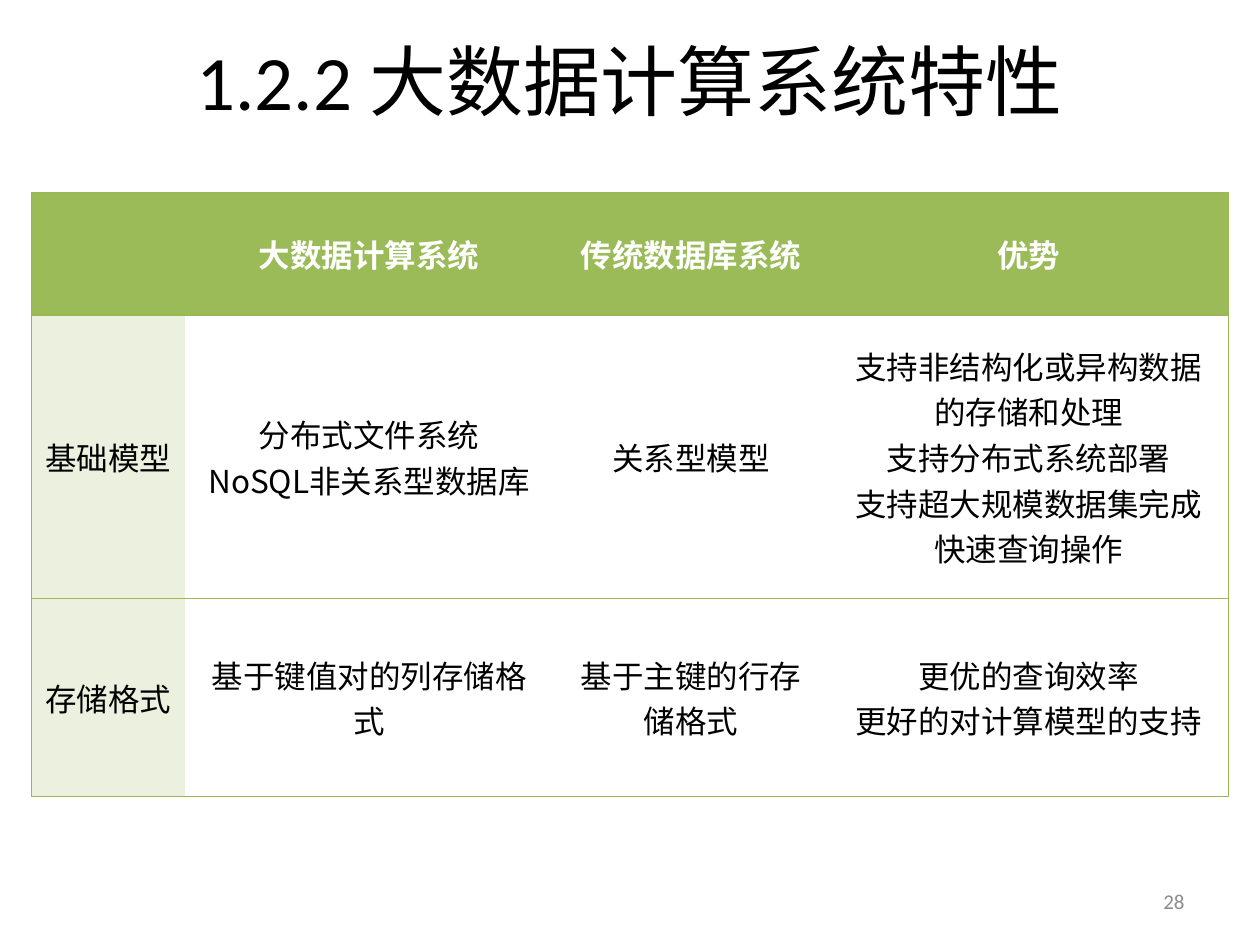
from lxml.etree import SubElement
from pptx import Presentation
from pptx.dml.color import RGBColor
from pptx.enum.text import MSO_ANCHOR as Anchor, PP_ALIGN as Align
from pptx.oxml.ns import qn
from pptx.util import Inches, Pt

LATIN_FONT, CHINESE_FONT = "Calibri", "Noto Sans CJK SC"
GREEN, PALE_GREEN, BORDER = "9BBB59", "EBF1DE", "98B955"
BLACK, WHITE, GREY = "000000", "FFFFFF", "8C8C8C"
PLAIN_TABLE_STYLE = "{2D5ABB26-0587-4C30-8999-92F81FD0307C}"

COLUMN_WIDTHS = [1.22, 2.92, 2.19, 3.17]
ROW_HEIGHTS = [0.97, 2.25, 1.57]
ROWS = [
    ["", "大数据计算系统", "传统数据库系统", "优势"],
    ["基础模型", "分布式文件系统\nNoSQL非关系型数据库", "关系型模型",
     "支持非结构化或异构数据的存储和处理\n支持分布式系统部署\n支持超大规模数据集完成快速查询操作"],
    ["存储格式", "基于键值对的列存储格式", "基于主键的行存储格式",
     "更优的查询效率\n更好的对计算模型的支持"],
]


def color(hex_string):
    return RGBColor.from_string(hex_string)


def write(text_frame, text, size, hex_color, font=CHINESE_FONT, align=Align.CENTER, bold=False):
    text_frame.text = text
    for paragraph in text_frame.paragraphs:
        paragraph.alignment = align
        for run in paragraph.runs:
            run.font.size, run.font.bold, run.font.name = Pt(size), bold, font
            run.font.color.rgb = color(hex_color)
            east_asian = SubElement(run.font._element, qn("a:ea"))
            east_asian.set("typeface", CHINESE_FONT)


def add_text(slide, box, text, size, hex_color, align, anchor):
    shape = slide.shapes.add_textbox(*map(Inches, box))
    text_frame = shape.text_frame
    text_frame.word_wrap = True
    text_frame.vertical_anchor = anchor
    write(text_frame, text, size, hex_color, LATIN_FONT, align)
    return text_frame


def draw_borders(cell, sides):
    """Draw thin lines on the given sides, in the order L, R, T, B."""
    properties = cell._tc.get_or_add_tcPr()
    for side in sides:
        line = SubElement(properties, qn(f"a:ln{side}"), w=str(Pt(0.75)))
        fill = SubElement(line, qn("a:solidFill"))
        SubElement(fill, qn("a:srgbClr"), val=BORDER)


def fill_cell(cell, hex_color):
    if hex_color:
        cell.fill.solid()
        cell.fill.fore_color.rgb = color(hex_color)
    else:
        cell.fill.background()


def add_comparison_table(slide, left, top):
    size = sum(COLUMN_WIDTHS), sum(ROW_HEIGHTS)
    frame = slide.shapes.add_table(len(ROWS), len(COLUMN_WIDTHS), *map(Inches, (left, top, *size)))
    table = frame.table
    table.horz_banding = False
    table._tbl.tblPr.find(qn("a:tableStyleId")).text = PLAIN_TABLE_STYLE
    for column, width in zip(table.columns, COLUMN_WIDTHS):
        column.width = Inches(width)
    for row, height in zip(table.rows, ROW_HEIGHTS):
        row.height = Inches(height)

    last_column = len(COLUMN_WIDTHS) - 1
    for r, texts in enumerate(ROWS):
        for c, text in enumerate(texts):
            cell, header = table.cell(r, c), r == 0
            cell.vertical_anchor = Anchor.MIDDLE
            write(cell.text_frame, text, 18, WHITE if header else BLACK, bold=header)
            outer_side = {0: "L", last_column: "R"}.get(c, "")
            draw_borders(cell, outer_side + "TB")
            fill_cell(cell, GREEN if header else PALE_GREEN if c == 0 else None)


def main():
    presentation = Presentation()
    presentation.slide_width, presentation.slide_height = Inches(10), Inches(7.5)
    slide = presentation.slides.add_slide(presentation.slide_layouts[6])
    title = add_text(slide, (0.5, 0.3, 9, 1.25), "1.2.2 大数据计算系统特性",
                     44, BLACK, Align.CENTER, Anchor.TOP)
    title.paragraphs[0].line_spacing = 0.9
    add_comparison_table(slide, 0.25, 1.53)
    add_text(slide, (7.17, 6.95, 2.33, 0.4), "28", 12, GREY, Align.RIGHT, Anchor.MIDDLE)
    presentation.save("out.pptx")


if __name__ == "__main__":
    main()
